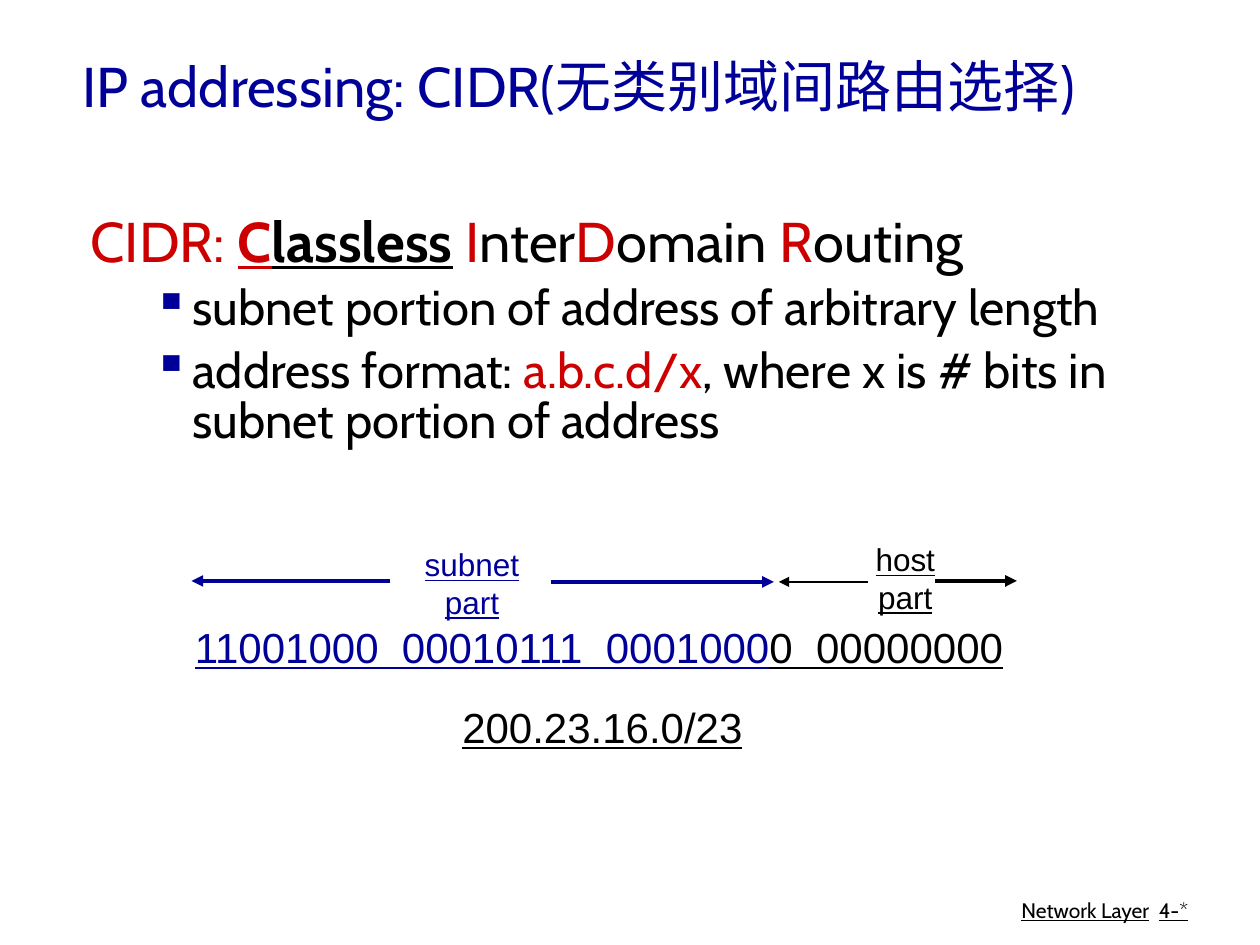
from dataclasses import dataclass

from lxml import etree
from pptx import Presentation
from pptx.dml.color import RGBColor
from pptx.enum.shapes import MSO_CONNECTOR
from pptx.enum.text import MSO_ANCHOR, MSO_AUTO_SIZE, PP_ALIGN
from pptx.oxml.ns import qn
from pptx.util import Cm, Pt

LEFT, CENTER, RIGHT = PP_ALIGN.LEFT, PP_ALIGN.CENTER, PP_ALIGN.RIGHT
MIDDLE = MSO_ANCHOR.MIDDLE
NO_AUTO_SIZE = MSO_AUTO_SIZE.NONE
STRAIGHT = MSO_CONNECTOR.STRAIGHT
TITLE_ONLY = 5


@dataclass(frozen=True)
class Theme:
    blue: RGBColor = RGBColor(0x00, 0x00, 0x99)
    red: RGBColor = RGBColor(0xCC, 0x00, 0x00)
    black: RGBColor = RGBColor(0x00, 0x00, 0x00)
    text_font: str = "Cabin"
    diagram_font: str = "Arial"
    heading: Pt = Pt(32)
    bullet: Pt = Pt(28)
    address: Pt = Pt(24)
    label: Pt = Pt(18)
    footer: Pt = Pt(12)


THEME = Theme()


def set_font(paragraph, name, size, color=None, underline=None):
    font = paragraph.font
    font.name, font.size, font.underline = name, size, underline
    if color is not None:
        font.color.rgb = color


def add_runs(paragraph, parts):
    """Add (text, colour) or (text, colour, emphasised) parts."""
    for text, color, *emphasis in parts:
        run = paragraph.add_run()
        run.text = text
        run.font.color.rgb = color
        if emphasis:
            run.font.bold = run.font.underline = emphasis[0]


def add_bullet(paragraph, color):
    properties = paragraph._p.get_or_add_pPr()
    properties.set("marL", str(Cm(2.06)))
    properties.set("indent", str(Cm(-0.79)))
    bullet_color = etree.SubElement(properties, qn("a:buClr"))
    etree.SubElement(bullet_color, qn("a:srgbClr"), val=str(color))
    etree.SubElement(properties, qn("a:buChar"), char="▪")


def add_text_frame(slide, left, top, width, height, wrap):
    box = slide.shapes.add_textbox(Cm(left), Cm(top), Cm(width), Cm(height))
    box.text_frame.word_wrap = wrap
    return box.text_frame


def add_label(slide, position, lines, font_name, size, color, align=LEFT, wrap=False):
    """Add underlined text, one paragraph per line."""
    frame = add_text_frame(slide, *position, wrap)
    frame.text = "\n".join(lines)
    for paragraph in frame.paragraphs:
        paragraph.alignment = align
        set_font(paragraph, font_name, size, color, underline=True)


def add_arrow(slide, start_x, end_x, y, color, width=2.25):
    arrow = slide.shapes.add_connector(STRAIGHT, Cm(start_x), Cm(y), Cm(end_x), Cm(y))
    arrow.line.color.rgb = color
    arrow.line.width = Pt(width)
    etree.SubElement(arrow.line._get_or_add_ln(), qn("a:tailEnd"), type="triangle")
    etree.SubElement(arrow._element.spPr, qn("a:effectLst"))


def add_title(slide, text):
    title = slide.shapes.title
    title.left, title.top, title.width, title.height = Cm(1.4), Cm(0.53), Cm(21.59), Cm(2.36)
    frame = title.text_frame
    frame.text = text
    frame.vertical_anchor = MIDDLE
    frame.auto_size = NO_AUTO_SIZE
    paragraph = frame.paragraphs[0]
    paragraph.alignment = LEFT
    set_font(paragraph, THEME.text_font, THEME.heading, THEME.blue)


def add_definition(slide):
    red, black = THEME.red, THEME.black
    frame = add_text_frame(slide, 1.57, 4.24, 22.53, 8.81, wrap=True)
    heading = frame.paragraphs[0]
    heading.line_spacing = 0.85
    set_font(heading, THEME.text_font, THEME.heading)
    add_runs(heading, [
        ("CIDR: ", red), ("C", red, True), ("lassless", black, True), (" ", black),
        ("I", red), ("nter", black), ("D", red), ("omain ", black),
        ("R", red), ("outing", black),
    ])
    bullets = [
        [("subnet portion of address of arbitrary length", black)],
        [("address format: ", black), ("a.b.c.d/x", red),
         (", where x is # bits in subnet portion of address", black)],
    ]
    for parts in bullets:
        paragraph = frame.add_paragraph()
        paragraph.level = 1
        add_bullet(paragraph, THEME.blue)
        paragraph.line_spacing = 0.85
        paragraph.space_before = Pt(7)
        set_font(paragraph, THEME.text_font, THEME.bullet)
        add_runs(paragraph, parts)


def add_address_diagram(slide):
    blue, black, font = THEME.blue, THEME.black, THEME.diagram_font

    # Binary address, split by colour into subnet and host bits
    frame = add_text_frame(slide, 3.68, 12.4, 16.99, 1.27, wrap=False)
    paragraph = frame.paragraphs[0]
    set_font(paragraph, font, THEME.address, underline=True)
    add_runs(paragraph, [("11001000  00010111  0001000", blue), ("0  00000000", black)])

    # Part names and dotted address
    add_label(slide, (8.31, 10.87, 2.41, 1.78), ["subnet", "part"],
              font, THEME.label, blue, CENTER)
    add_label(slide, (17.4, 10.77, 1.7, 1.78), ["host", "part"],
              font, THEME.label, black, CENTER)
    add_label(slide, (9.07, 14.02, 6.15, 1.27), ["200.23.16.0/23"],
              font, THEME.address, black)

    # Extent of each part
    add_arrow(slide, 7.87, 3.86, 11.71, blue)
    add_arrow(slide, 11.1, 15.6, 11.73, blue)
    add_arrow(slide, 17.5, 15.7, 11.73, black, width=1.5)
    add_arrow(slide, 18.85, 20.5, 11.71, black)


def add_footer(slide):
    style = THEME.text_font, THEME.footer, THEME.black
    add_label(slide, (15.37, 17.96, 8.05, 0.79), ["Network Layer"], *style, RIGHT, wrap=True)
    add_label(slide, (23.11, 17.96, 1.88, 0.76), ["4-*"], *style, wrap=True)


def main():
    presentation = Presentation()
    presentation.slide_width, presentation.slide_height = Cm(25.4), Cm(19.05)
    slide = presentation.slides.add_slide(presentation.slide_layouts[TITLE_ONLY])
    add_title(slide, "IP addressing: CIDR(无类别域间路由选择)")
    add_definition(slide)
    add_address_diagram(slide)
    add_footer(slide)
    presentation.save("out.pptx")


if __name__ == "__main__":
    main()
